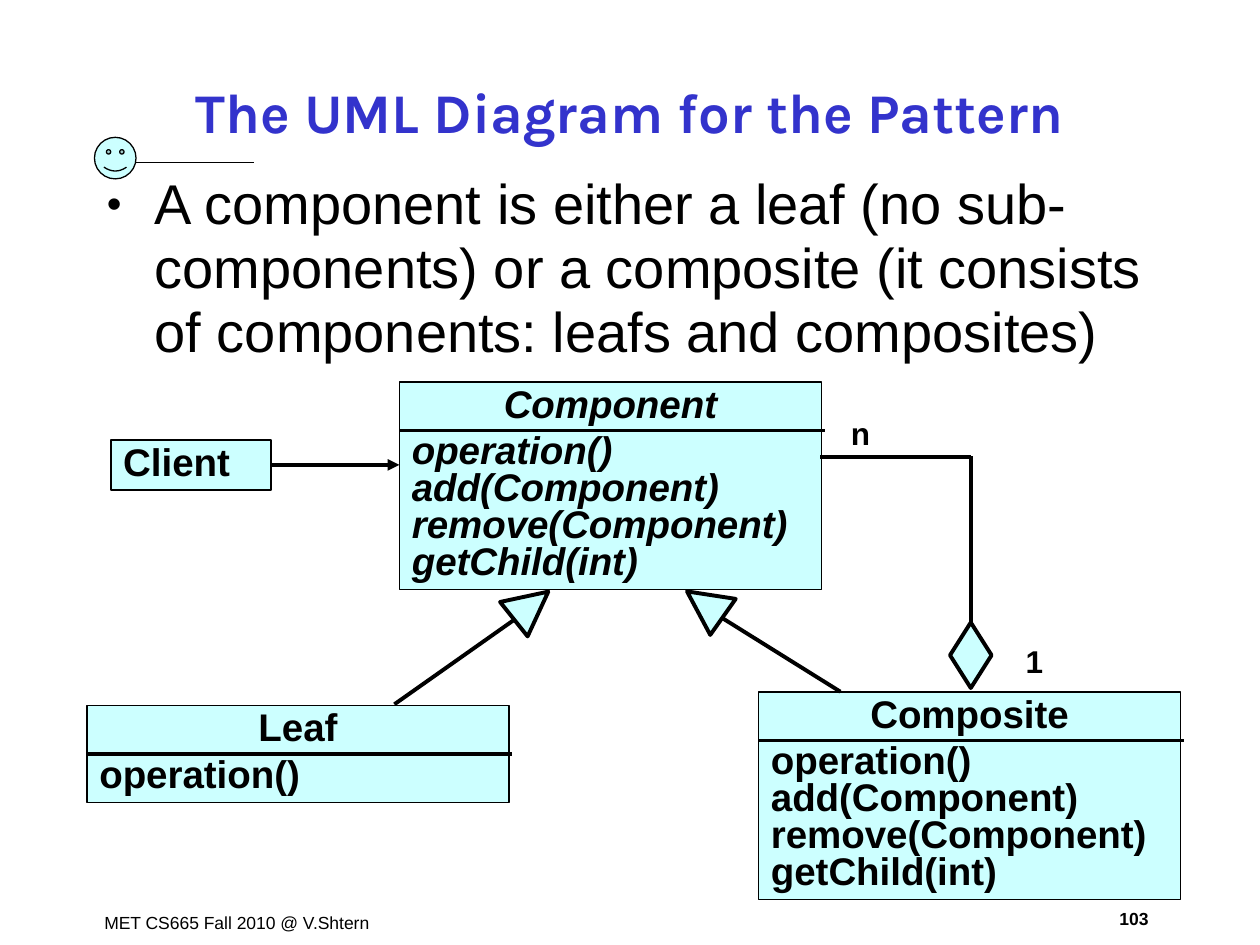
import lxml.etree
import pptx
import pptx.dml.color
import pptx.enum.shapes
import pptx.enum.text
import pptx.oxml.ns
import pptx.util

COLORS = {"ink": "000000", "title": "3333CC", "box": "CCFFFF"}
SHAPES = pptx.enum.shapes.MSO_SHAPE
ALIGN = pptx.enum.text.PP_ALIGN
ANCHOR = pptx.enum.text.MSO_ANCHOR
RGB = pptx.dml.color.RGBColor.from_string
qn = pptx.oxml.ns.qn

presentation = pptx.Presentation()
presentation.slide_width = pptx.util.Inches(10)
presentation.slide_height = pptx.util.Inches(7.5)
column = presentation.slide_width / 100
row = presentation.slide_height / 75
slide = presentation.slides.add_slide(presentation.slide_layouts[6])


def add_block(left, top, width, height, preset=None, lines=(), size=22, bold=True, italic=False,
              font="Arial", color="ink", align=ALIGN.LEFT, spacing=1.0, anchor=ANCHOR.TOP, border=1):
    frame = [round(left * column), round(top * row), round(width * column), round(height * row)]
    if preset is None:
        shape = slide.shapes.add_textbox(*frame)
    else:
        shape = slide.shapes.add_shape(preset, *frame)
        shape.shadow.inherit = False
        shape.fill.solid()
        shape.fill.fore_color.rgb = RGB(COLORS["box"])
        shape.line.color.rgb = RGB(COLORS["ink"])
        shape.line.width = pptx.util.Pt(border)
    text_frame = shape.text_frame
    text_frame.word_wrap = True
    text_frame.vertical_anchor = anchor
    for index, line in enumerate(lines):
        paragraph = text_frame.add_paragraph() if index else text_frame.paragraphs[0]
        paragraph.text = line
        paragraph.alignment = ALIGN.LEFT if index else align
        paragraph.line_spacing = spacing
        paragraph.space_before = pptx.util.Pt(5.5 if index == 1 else 0)
        paragraph.font.name = font
        paragraph.font.size = pptx.util.Pt(size)
        paragraph.font.bold = bold
        paragraph.font.italic = italic
        paragraph.font.color.rgb = RGB(COLORS[color])
    return shape


def add_line(start_x, start_y, end_x, end_y, width=2.25):
    connector = slide.shapes.add_connector(
        pptx.enum.shapes.MSO_CONNECTOR.STRAIGHT,
        round(start_x * column), round(start_y * row), round(end_x * column), round(end_y * row))
    connector.line.color.rgb = RGB(COLORS["ink"])
    connector.line.width = pptx.util.Pt(width)
    lxml.etree.SubElement(connector.element.spPr, qn("a:effectLst"))
    return connector


add_block(7.3, 71.9, 27, 2.7, lines=["MET CS665 Fall 2010 @ V.Shtern"], size=10, bold=False)
add_block(87.3, 71.6, 5.4, 2.7, lines=["103"], size=10, align=ALIGN.CENTER)
add_block(7.5, 10.9, 3.3, 3.3, SHAPES.SMILEY_FACE, border=0.75)
add_line(10.8, 12.9, 20.2, 12.9, 1)

add_block(7.5, 4.8, 85, 8, lines=["The UML Diagram for the Pattern"], size=32, font="Karla",
          color="title", align=ALIGN.CENTER, anchor=ANCHOR.MIDDLE)
body = add_block(7.5, 13.3, 85, 57.6, size=32, bold=False, spacing=0.95, lines=[
    "A component is either a leaf (no sub-components) or a composite "
    "(it consists of components: leafs and composites)"])
body.text_frame.paragraphs[0].space_before = pptx.util.Pt(8)
properties = body.text_frame.paragraphs[0]._p.get_or_add_pPr()
properties.set("marL", str(round(3.8 * column)))
properties.set("indent", str(round(-3.8 * column)))
font_defaults = properties.find(qn("a:defRPr"))
for tag, attribute, value in [("a:buSzPct", "val", "75000"), ("a:buFont", "typeface", "Arial"),
                              ("a:buChar", "char", "•")]:
    bullet = lxml.etree.Element(qn(tag))
    bullet.set(attribute, value)
    font_defaults.addprevious(bullet)

client = add_block(8.8, 34.9, 12.7, 4, SHAPES.RECTANGLE, ["Client"], spacing=0.8, anchor=ANCHOR.MIDDLE)

operations = ["operation()", "add(Component)", "remove(Component)", "getChild(int)"]
classes = [
    ("Component", 31.7, 30.3, 16.5, operations, True),
    ("Leaf", 6.9, 56, 7.7, operations[:1], False),
    ("Composite", 60.2, 54.9, 16.5, operations, False),
]
for name, left, top, height, methods, abstract in classes:
    add_block(left, top, 33.5, height, SHAPES.RECTANGLE, [name] + methods, italic=abstract,
              align=ALIGN.CENTER, spacing=0.8, anchor=ANCHOR.MIDDLE)
    add_line(left, top + 3.87, left + 33.75, top + 3.87)

client_arrow = add_line(21.5, 36.9, 31.7, 36.9)
client_arrow.begin_connect(client, 3)
arrowhead = lxml.etree.SubElement(client_arrow.line._get_or_add_ln(), qn("a:tailEnd"))
arrowhead.set("type", "triangle")

diamond = add_block(75.4, 49.4, 3.3, 5.2, SHAPES.FLOWCHART_DECISION, border=2.25)
for left, top, angle in [(54.2, 46.2, 305.3), (40.4, 46.3, 51.4)]:
    triangle = add_block(left, top, 3.5, 3.5, SHAPES.ISOSCELES_TRIANGLE, border=2.25)
    triangle.rotation = angle

add_line(40.8, 49.2, 31.3, 55.9)
add_line(57.4, 49.1, 66.7, 54.9)
add_line(77.05, 49.4, 77.05, 36.2).begin_connect(diamond, 0)
add_line(77.1, 36.3, 65.1, 36.3)

for label, left, top in [("n", 65.7, 32.7), ("1", 79.5, 50.8)]:
    add_block(left, top, 5.2, 3.7, lines=[label], size=18, align=ALIGN.CENTER, spacing=0.9)

presentation.save("out.pptx")
